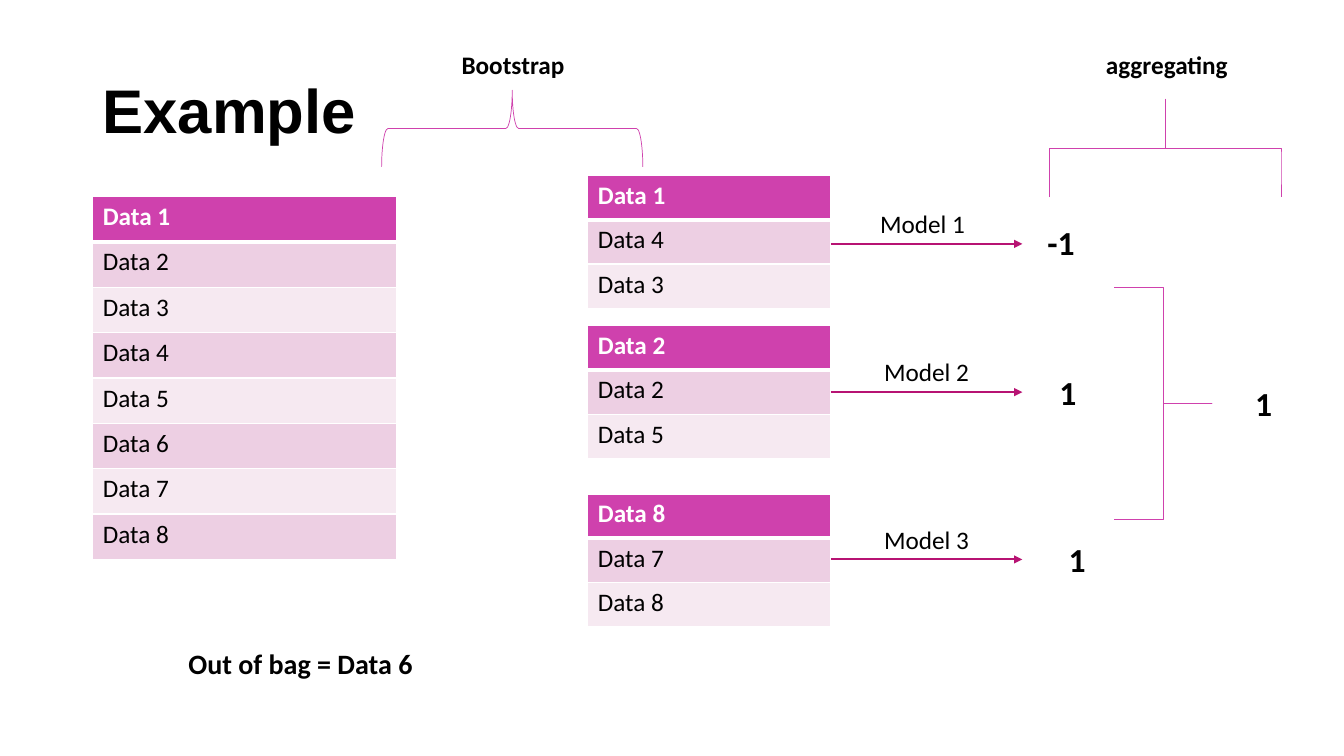
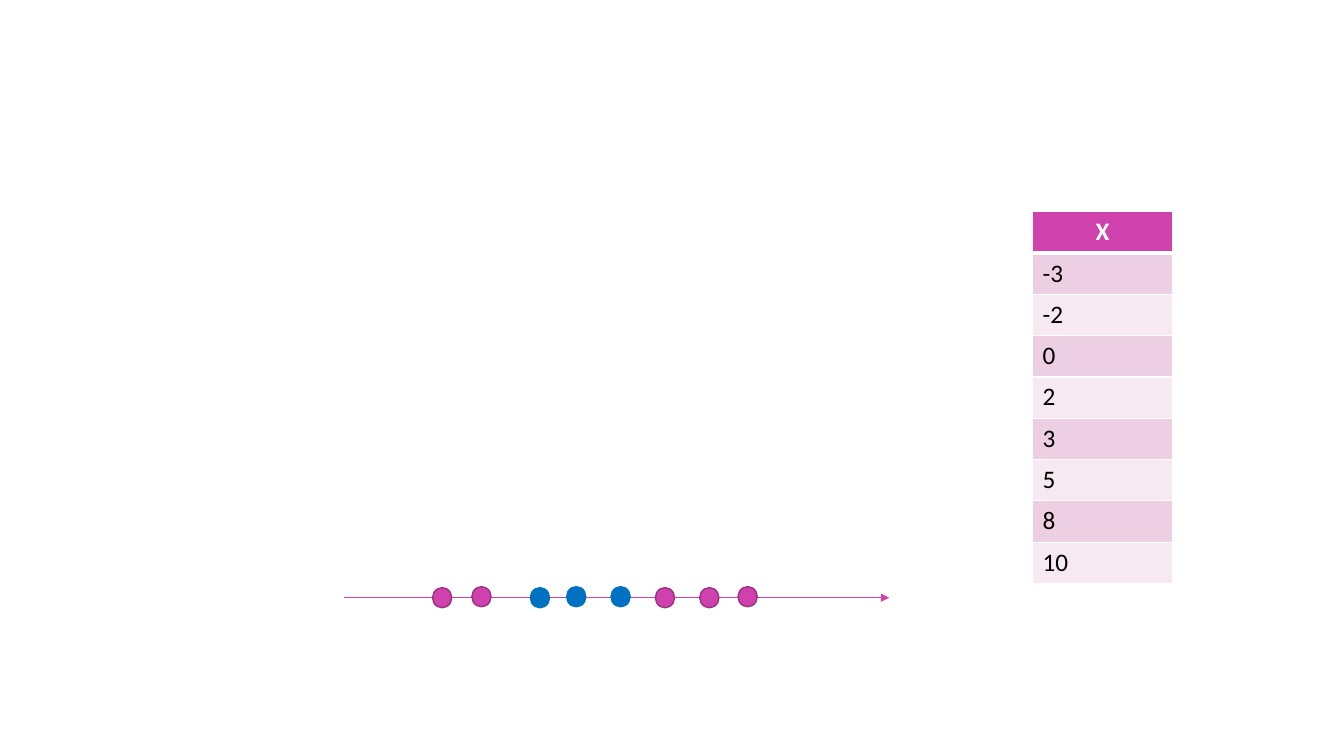
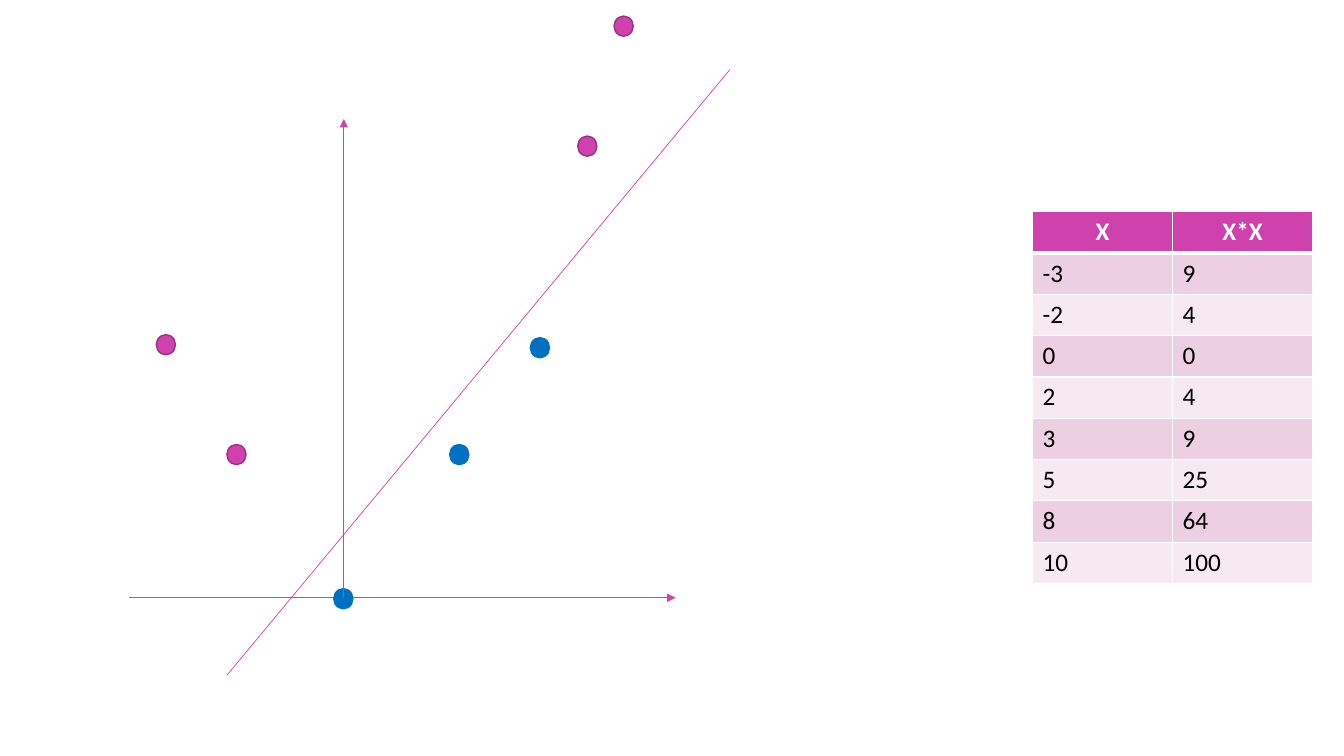
from dataclasses import dataclass

from lxml.etree import SubElement
from pptx import Presentation
from pptx.dml.color import RGBColor
from pptx.enum.shapes import MSO_CONNECTOR, MSO_SHAPE
from pptx.enum.text import MSO_ANCHOR, MSO_AUTO_SIZE, PP_ALIGN
from pptx.oxml.ns import qn
from pptx.util import Inches, Pt


@dataclass(frozen=True)
class Theme:
    pink: str = "CF41AD"
    dark_pink: str = "993080"
    arrow: str = "B71373"
    blue: str = "0070C0"
    band_dark: str = "EDCFE3"
    band_light: str = "F6E9F1"
    white: str = "FFFFFF"
    black: str = "000000"
    title_font: str = "Arial"
    body_font: str = "Calibri"
    title: int = 44
    result: int = 24
    note: int = 20
    body: int = 18


T = Theme()

# Content: bagging example
ALL_DATA = [f"Data {n}" for n in range(1, 9)]
# table top, rows, arrow height, label left, result, result box
MODELS = [
    (1.74, ["Data 1", "Data 4", "Data 3"], 2.42, 8.63, "-1", (10.29, 2.15, 0.48, 0.5)),
    (3.23, ["Data 2", "Data 2", "Data 5"], 3.89, 8.67, "1", (10.41, 3.64, 0.37, 0.5)),
    (4.9, ["Data 8", "Data 7", "Data 8"], 5.55, 8.67, "1", (10.5, 5.3, 0.37, 0.5)),
]
LABELS = [
    ("Bootstrap", (4.48, 0.44, 1.23, 0.4), T.body),
    ("aggregating", (10.87, 0.44, 1.41, 0.4), T.body),
    ("1", (12.35, 3.75, 0.37, 0.5), T.result),
    ("Out of bag = Data 6", (1.77, 6.36, 2.44, 0.44), T.note),
]
# box before turning, rotation, square corners
BRACES = [
    ((4.7, -0.02, 0.76, 2.59), 90, False),
    ((11.07, 0.32, 0.97, 2.3), 90, True),
    ((11.05, 2.85, 0.97, 2.3), 180, True),
]

# Content: points on a line and lifted to a parabola
X_VALUES = [-3, -2, 0, 2, 3, 5, 8, 10]
X_COLUMN = ["X", *X_VALUES]
SQUARE_COLUMN = ["X*X", *(x * x for x in X_VALUES)]
LINE_DOTS = {
    "pink": [(4.29, 5.83), (4.68, 5.82), (6.5, 5.83), (6.94, 5.83), (7.32, 5.82)],
    "blue": [(5.26, 5.83), (5.62, 5.82), (6.06, 5.82)],
}
PLANE_DOTS = {
    "pink": [(1.55, 3.32), (2.25, 4.41), (5.73, 1.35), (6.09, 0.16)],
    "blue": [(3.31, 5.84), (4.46, 4.41), (5.26, 3.35)],
}
DOT_STYLES = {"pink": (T.pink, T.dark_pink), "blue": (T.blue, T.blue)}
DOT_SIZE = (0.19, 0.2)
AXIS_Y, ORIGIN_X = 5.93, 3.41
COLUMN_X, COLUMN_Y, COLUMN_W, COLUMN_ROW = 10.24, 2.1, 1.39, 0.41


# Shared helpers
def rgb(value):
    return RGBColor.from_string(value)


def inches(values):
    return [Inches(v) for v in values]


def style_run(r, size, color=T.black, bold=False, font=T.body_font):
    for name, value in {"size": Pt(size), "bold": bold, "name": font}.items():
        setattr(r.font, name, value)
    r.font.color.rgb = rgb(color)


def style_line(line, color, width):
    line.color.rgb = rgb(color)
    line.width = Pt(width)


def add_text(s, text, box, size, bold=False):
    tf = s.shapes.add_textbox(*inches(box)).text_frame
    tf.word_wrap = False
    tf.auto_size = MSO_AUTO_SIZE.SHAPE_TO_FIT_TEXT
    r = tf.paragraphs[0].add_run()
    r.text = text
    style_run(r, size, bold=bold)


def add_title(s, text):
    tf = s.shapes.add_textbox(*inches((0.92, 0.4, 11.5, 1.45))).text_frame
    tf.word_wrap = True
    tf.vertical_anchor = MSO_ANCHOR.MIDDLE
    p = tf.paragraphs[0]
    p.line_spacing = 0.9
    r = p.add_run()
    r.text = text
    style_run(r, T.title, bold=True, font=T.title_font)


def add_line(s, start, end, color=T.pink, width=0.5, arrow=True):
    sp = s.shapes.add_connector(MSO_CONNECTOR.STRAIGHT, *inches(start + end))
    style_line(sp.line, color, width)
    if arrow:
        SubElement(sp.line._get_or_add_ln(), qn("a:tailEnd"), type="triangle")
    SubElement(sp._element.spPr, qn("a:effectLst"))


def add_brace(s, box, rotation, square):
    sp = s.shapes.add_shape(MSO_SHAPE.LEFT_BRACE, *inches(box))
    sp.rotation = rotation
    sp.shadow.inherit = False
    sp.fill.background()
    style_line(sp.line, T.pink, 0.5)
    if square:
        sp.adjustments[0] = 0


def add_dots(s, groups):
    for name, places in groups.items():
        fill, outline = DOT_STYLES[name]
        for place in places:
            sp = s.shapes.add_shape(MSO_SHAPE.OVAL, *inches(place + DOT_SIZE))
            sp.shadow.inherit = False
            sp.fill.solid()
            sp.fill.fore_color.rgb = rgb(fill)
            style_line(sp.line, outline, 1)


def set_borders(cell, widths):
    tc_pr = cell._tc.get_or_add_tcPr()
    for side, width in widths.items():
        ln = SubElement(tc_pr, qn(f"a:ln{side}"), w=str(Pt(width)))
        SubElement(SubElement(ln, qn("a:solidFill")), qn("a:srgbClr"), val=T.white)


def add_column(s, values, left, top, width, row_height, header_align=None):
    """One-column table: pink header, then alternating bands."""
    box = inches((left, top, width, row_height * len(values)))
    table = s.shapes.add_table(len(values), 1, *box).table
    table.first_row = table.horz_banding = False
    for i, value in enumerate(values):
        table.rows[i].height = Inches(row_height)
        cell = table.cell(i, 0)
        header = i == 0
        set_borders(cell, {"L": 1, "R": 1, "T": 3 if i == 1 else 1, "B": 3 if header else 1})
        band = T.band_dark if i % 2 else T.band_light
        cell.fill.solid()
        cell.fill.fore_color.rgb = rgb(T.pink if header else band)
        p = cell.text_frame.paragraphs[0]
        if header and header_align is not None:
            p.alignment = header_align
        r = p.add_run()
        r.text = str(value)
        style_run(r, T.body, T.white if header else T.black, header)


def add_value_columns(s, *columns):
    for i, values in enumerate(columns):
        add_column(s, values, COLUMN_X + i * COLUMN_W, COLUMN_Y, COLUMN_W,
                   COLUMN_ROW, PP_ALIGN.CENTER)


# Slides
def build_bagging(s):
    add_title(s, "Example")
    add_column(s, ALL_DATA, 0.92, 1.95, 3.01, 0.45)
    for n, (top, rows, arrow_y, label_x, result, result_box) in enumerate(MODELS, 1):
        add_column(s, rows, 5.83, top, 2.41, 0.44)
        add_line(s, (8.24, arrow_y), (10.14, arrow_y), T.arrow, 1.5)
        add_text(s, f"Model {n}", (label_x, arrow_y - 0.4, 1.05, 0.4), T.body)
        add_text(s, result, result_box, T.result, bold=True)
    for brace in BRACES:
        add_brace(s, *brace)
    for text, box, size in LABELS:
        add_text(s, text, box, size, bold=True)


def build_number_line(s):
    add_line(s, (ORIGIN_X, AXIS_Y), (8.82, AXIS_Y))
    add_dots(s, LINE_DOTS)
    add_value_columns(s, X_COLUMN)


def build_plane(s):
    add_line(s, (1.28, AXIS_Y), (6.7, AXIS_Y))
    add_dots(s, PLANE_DOTS)
    add_value_columns(s, X_COLUMN, SQUARE_COLUMN)
    add_line(s, (ORIGIN_X, AXIS_Y), (ORIGIN_X, 1.18))
    add_line(s, (2.25, 6.7), (7.24, 0.69), arrow=False)


def main():
    prs = Presentation()
    prs.slide_width, prs.slide_height = inches((13.33, 7.5))
    for build in (build_bagging, build_number_line, build_plane):
        build(prs.slides.add_slide(prs.slide_layouts[6]))
    prs.save("out.pptx")


if __name__ == "__main__":
    main()
